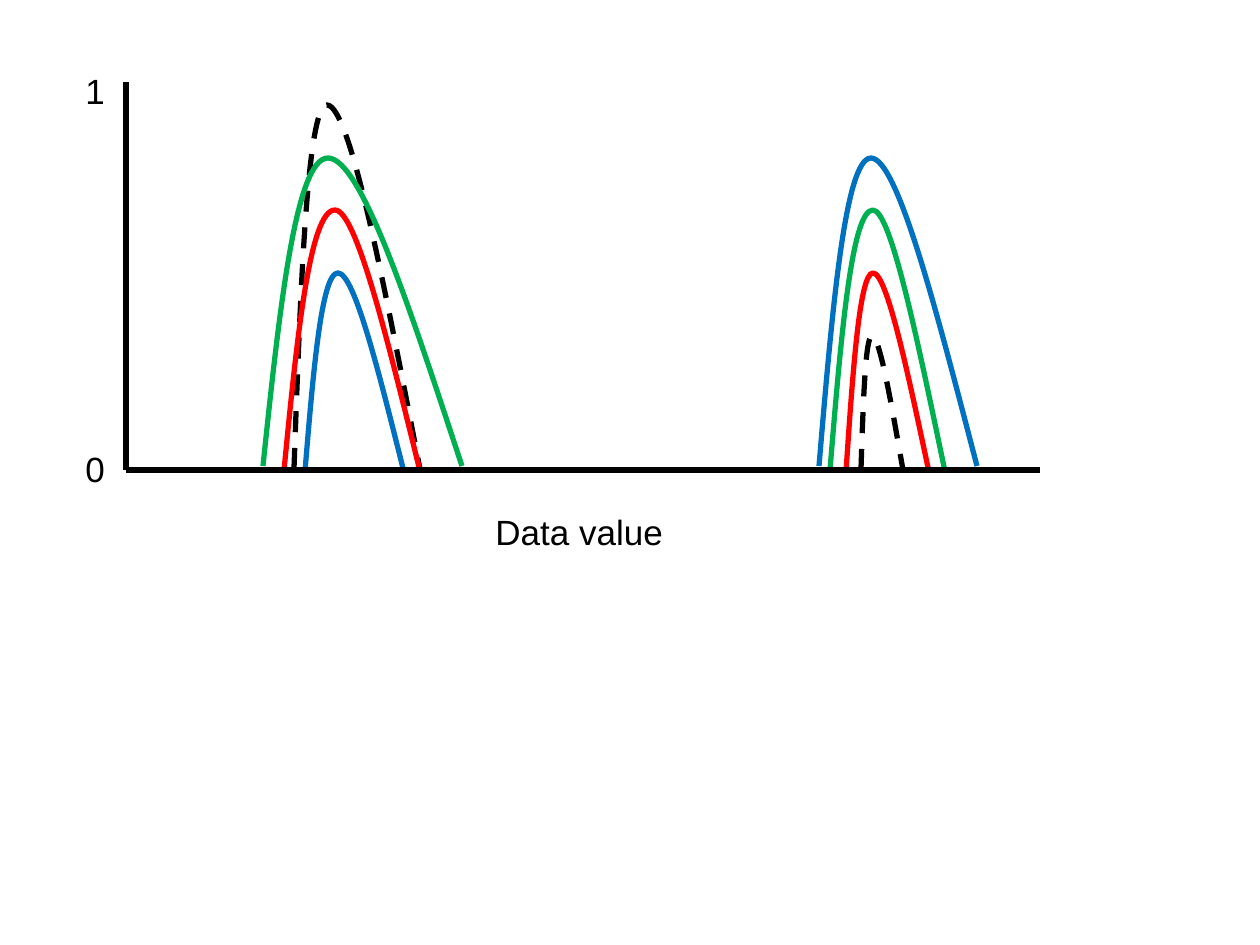
"""Build a slide with two groups of bell-like curves over a data value axis."""
from lxml import etree
from pptx import Presentation
from pptx.dml.color import RGBColor
from pptx.enum.dml import MSO_LINE
from pptx.enum.shapes import MSO_CONNECTOR
from pptx.enum.text import MSO_AUTO_SIZE
from pptx.oxml.ns import qn
from pptx.util import Pt

STRAIGHT = MSO_CONNECTOR.STRAIGHT
DASH = MSO_LINE.DASH
FIT_SHAPE = MSO_AUTO_SIZE.SHAPE_TO_FIT_TEXT
BLACK = RGBColor(0x00, 0x00, 0x00)
BLUE = RGBColor(0x00, 0x70, 0xC0)
GREEN = RGBColor(0x00, 0xB0, 0x50)
RED = RGBColor(0xFF, 0x00, 0x00)

PX = 914400 // 126
SLIDE_SIZE = (1260, 945)
FONT, FONT_SIZE = "Arial", Pt(20)
LINE_WIDTH = Pt(3)

VERTICAL_AXIS = (126, 82, 126, 470)
HORIZONTAL_AXIS = (1040, 470, 126, 470)
LABELS = [
    ("Data value", 483, 504, 194, 55),
    ("0", 73, 441, 45, 55),
    ("1", 73, 63, 45, 55),
]
# fields: start x, peak x, end x, peak y, base y, colour, dashed
CURVES = [
    (861, 872, 903, 336, 470, BLACK, True),
    (819, 871, 977, 158, 466, BLUE, False),
    (830, 873, 945, 210, 471, GREEN, False),
    (846, 873, 929, 273, 472, RED, False),
    (294, 327, 420, 105, 469, BLACK, True),
    (263, 328, 462, 158, 466, GREEN, False),
    (284, 335, 420, 210, 471, RED, False),
    (305, 338, 404, 273, 472, BLUE, False),
]


def style_line(shape, color, dashed=False):
    shape.line.color.rgb = color
    shape.line.width = LINE_WIDTH
    if dashed:
        shape.line.dash_style = DASH


def add_axis(page, ends):
    axis = page.shapes.add_connector(STRAIGHT, *(v * PX for v in ends))
    style_line(axis, BLACK)
    etree.SubElement(axis.element.spPr, qn("a:effectLst"))


def add_label(page, text, *place):
    box = page.shapes.add_textbox(*(v * PX for v in place))
    frame = box.text_frame
    frame.word_wrap = False
    frame.auto_size = FIT_SHAPE
    span = frame.paragraphs[0].add_run()
    span.text = text
    span.font.name = FONT
    span.font.size = FONT_SIZE
    span.font.color.rgb = BLACK


def bend(shape):
    """Turn each three line points of the outline into one Bezier segment."""
    steps = list(shape.element.iter(qn("a:lnTo")))
    for first in range(0, len(steps), 3):
        curve = etree.Element(qn("a:cubicBezTo"))
        steps[first].addprevious(curve)
        for step in steps[first:first + 3]:
            curve.append(step[0])
            step.getparent().remove(step)


def add_curve(page, start, peak, end, top, base, color, dashed):
    rise, fall = peak - start, end - peak
    reach = 0.4 if dashed else 0.5
    middle = (top + base) / 2
    points = [
        (start + rise * reach / 2, middle), (start + rise * reach, top), (peak, top),
        (peak + fall * 0.25, top), (peak + fall * 0.62, middle), (end, base),
    ]
    builder = page.shapes.build_freeform(start * PX, base * PX)
    builder.add_line_segments([(round(x * PX), round(y * PX)) for x, y in points], close=False)
    shape = builder.convert_to_shape()
    bend(shape)
    shape.shadow.inherit = False
    shape.fill.background()
    style_line(shape, color, dashed)


deck = Presentation()
deck.slide_width, deck.slide_height = (v * PX for v in SLIDE_SIZE)
page = deck.slides.add_slide(deck.slide_layouts[6])
add_axis(page, VERTICAL_AXIS)
for label in LABELS:
    add_label(page, *label)
for curve in CURVES:
    add_curve(page, *curve)
add_axis(page, HORIZONTAL_AXIS)
deck.save("out.pptx")
